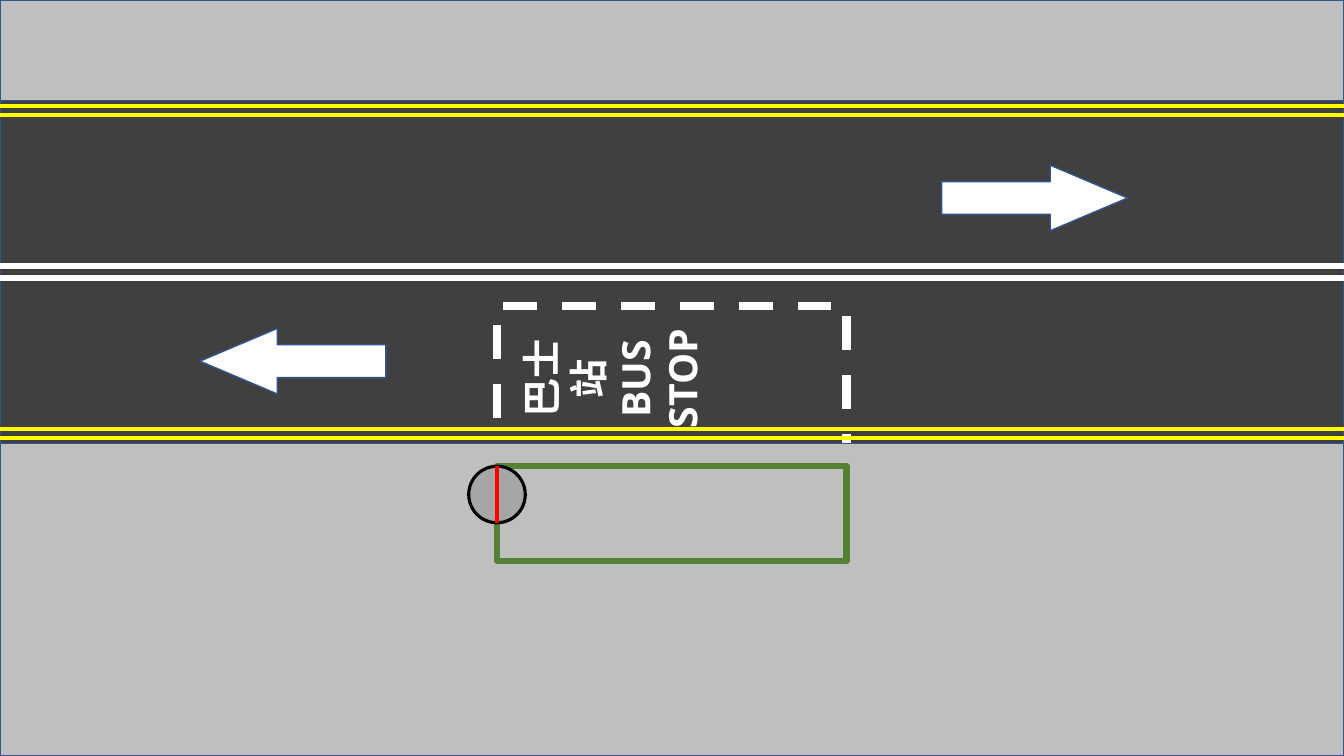
from dataclasses import dataclass

from lxml import etree
from pptx import Presentation
from pptx.dml.color import RGBColor
from pptx.enum.dml import MSO_LINE
from pptx.enum.shapes import MSO_CONNECTOR, MSO_SHAPE
from pptx.enum.text import MSO_AUTO_SIZE, PP_ALIGN
from pptx.oxml.ns import qn
from pptx.util import Pt

RECT, OVAL, ARROW = MSO_SHAPE.RECTANGLE, MSO_SHAPE.OVAL, MSO_SHAPE.LEFT_ARROW
LINE = MSO_CONNECTOR.STRAIGHT
DASH = MSO_LINE.DASH
FIT = MSO_AUTO_SIZE.SHAPE_TO_FIT_TEXT
MID = PP_ALIGN.CENTER

WIDE, HIGH = 960, 540
WHITE, YELLOW, EDGE, PAVING = "FFFFFF", "FFFF00", "325491", "BFBFBF"


@dataclass
class Part:
    left: float
    top: float
    width: float
    height: float
    fill: str = ""
    edge: str = EDGE
    weight: float = 1
    kind: int = RECT
    dash: bool = False
    turn: float = 0


@dataclass
class Stripe:
    x1: float
    y1: float
    x2: float
    y2: float
    color: str
    weight: float


def paint(target, color: str) -> None:
    """Give a line or fill a solid colour."""
    target.solid()
    target.fore_color.rgb = RGBColor.from_string(color)


def draw(shapes, part: Part):
    shape = shapes.add_shape(part.kind, Pt(part.left), Pt(part.top),
                             Pt(part.width), Pt(part.height))
    shape.shadow.inherit = False
    shape.rotation = part.turn
    if part.fill:
        paint(shape.fill, part.fill)
    else:
        shape.fill.background()
    paint(shape.line.fill, part.edge)
    shape.line.width = Pt(part.weight)
    if part.dash:
        shape.line.dash_style = DASH
    if part.kind == ARROW:
        shape.adjustments[0] = 0.5
        shape.adjustments[1] = 1.18
    return shape


def rule(shapes, stripe: Stripe) -> None:
    line = shapes.add_connector(LINE, Pt(stripe.x1), Pt(stripe.y1),
                                Pt(stripe.x2), Pt(stripe.y2))
    paint(line.line.fill, stripe.color)
    line.line.width = Pt(stripe.weight)
    etree.SubElement(line._element.spPr, qn("a:effectLst"))


def across(shapes, tops: tuple[float, ...], color: str, weight: float) -> None:
    """Draw stripes along the whole road."""
    for top in tops:
        rule(shapes, Stripe(0, top, WIDE, top, color, weight))


def label(shapes, lines: list[str]) -> None:
    box = shapes.add_textbox(Pt(390.2), Pt(198.8), Pt(94.4), Pt(143.2))
    box.rotation = 270
    frame = box.text_frame
    frame.word_wrap = True
    frame.auto_size = FIT
    for i, text in enumerate(lines):
        para = frame.paragraphs[0] if i == 0 else frame.add_paragraph()
        para.text = text
        para.alignment = MID
        font = para.font
        font.name, font.size, font.bold = "Open Sans", Pt(28), True
        font.color.rgb = RGBColor.from_string(WHITE)


deck = Presentation()
deck.slide_width, deck.slide_height = Pt(WIDE), Pt(HIGH)
shapes = deck.slides.add_slide(deck.slide_layouts[6]).shapes

# Road, bus bay and pavements
bay_left, bay_wide = 355, 249.8
draw(shapes, Part(0, 0, WIDE, HIGH, "404040"))
label(shapes, ["巴士\n站", "BUS\nSTOP"])
draw(shapes, Part(bay_left, 218.7, bay_wide, 123, edge=WHITE, weight=6, dash=True))
draw(shapes, Part(0, 317, WIDE, HIGH - 317, PAVING))
across(shapes, (198.8, 190.2), WHITE, 4.5)
draw(shapes, Part(0, 0, WIDE, 72, PAVING))

# Kerb lines and lane arrows
across(shapes, (306.6, 313, 75.6, 82), YELLOW, 3)
for left, top, turn in ((142.8, 234.6, 0), (672.6, 118, 180)):
    draw(shapes, Part(left, top, 132.8, 46.8, WHITE, kind=ARROW, turn=turn))

# Shelter and stop sign
stop_top, size = 333, 40.4
draw(shapes, Part(bay_left, stop_top, bay_wide, 67.6, edge="548235", weight=4.5))
sign = shapes.add_group_shape().shapes
draw(sign, Part(bay_left - size / 2, stop_top, size, size, "A6A6A6", "000000", 2.25, OVAL))
rule(sign, Stripe(bay_left, stop_top, bay_left, stop_top + size, "FF0000", 3))

deck.save("out.pptx")
